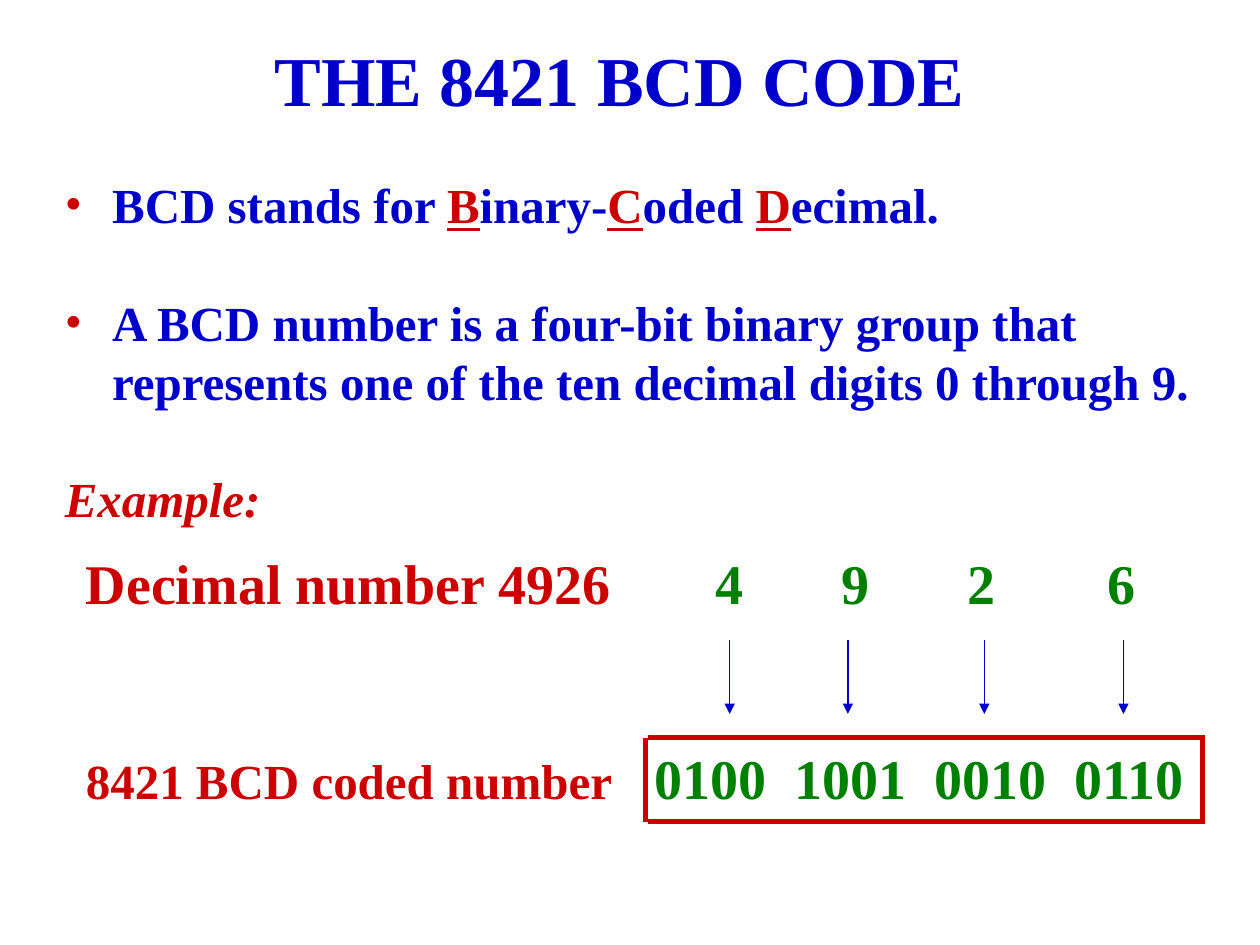
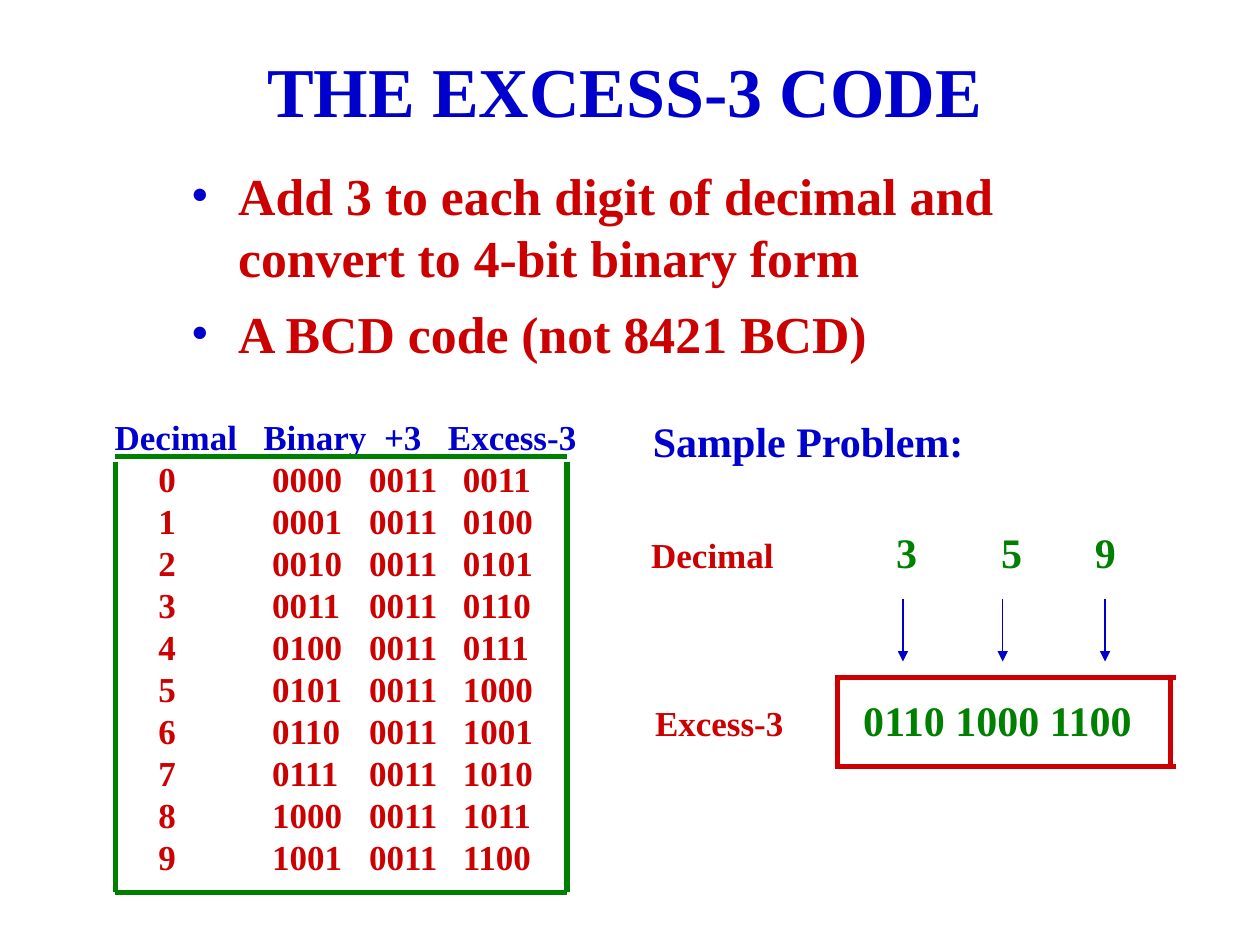
from dataclasses import dataclass

from lxml.etree import SubElement
from pptx import Presentation
from pptx.dml.color import RGBColor
from pptx.enum.shapes import MSO_CONNECTOR as Link
from pptx.enum.text import MSO_ANCHOR as Anchor
from pptx.enum.text import MSO_AUTO_SIZE as Fit
from pptx.enum.text import PP_ALIGN as Align
from pptx.oxml.ns import qn
from pptx.util import Pt

INK = {"blue": "0000CC", "red": "CC0000", "green": "008000"}
FACE = "Times New Roman"
LEADING = 1.2
HANG = 27
TITLE_ONLY = 5


@dataclass
class Bit:
    text: str
    ink: str
    size: float
    under: bool = False
    slant: bool = False


@dataclass
class Box:
    left: float
    top: float
    width: float
    height: float


@dataclass
class Label:
    box: Box
    bits: list[Bit]
    stops: tuple[float, ...] = ()


@dataclass
class Points:
    box: Box
    items: list[list[Bit]]
    dot: str
    gap: float


@dataclass
class Frame:
    ink: str
    span: tuple[float, float]
    rows: tuple[float, float]
    cols: tuple[float, float]
    drop: tuple[float, float]


@dataclass
class Col:
    head: str
    width: float
    head_pad: float
    pad: float
    cells: list[str]


def rgb(ink: str) -> RGBColor:
    return RGBColor.from_string(INK[ink])


def fill_para(para, bits: list[Bit]) -> None:
    para.line_spacing = Pt(LEADING * max(bit.size for bit in bits))
    for bit in bits:
        run = para.add_run()
        run.text = bit.text
        font = run.font
        font.name, font.size, font.bold = FACE, Pt(bit.size), True
        font.color.rgb = rgb(bit.ink)
        font.underline, font.italic = bit.under, bit.slant


def place(shape, box: Box) -> None:
    shape.left, shape.top = Pt(box.left), Pt(box.top)
    shape.width, shape.height = Pt(box.width), Pt(box.height)


def add_title(slide, text: str, box: Box) -> None:
    title = slide.shapes.title
    place(title, box)
    frame = title.text_frame
    frame.auto_size, frame.word_wrap = Fit.NONE, True
    frame.vertical_anchor = Anchor.MIDDLE
    para = frame.paragraphs[0]
    para.alignment = Align.CENTER
    fill_para(para, [Bit(text, "blue", 40)])


def add_box(slide, box: Box):
    shape = slide.shapes.add_textbox(
        Pt(box.left), Pt(box.top), Pt(box.width), Pt(box.height))
    shape.text_frame.word_wrap = True
    return shape.text_frame


def add_label(slide, label: Label) -> None:
    para = add_box(slide, label.box).paragraphs[0]
    if label.stops:
        tabs = SubElement(para._p.get_or_add_pPr(), qn("a:tabLst"))
        for stop in label.stops:
            SubElement(tabs, qn("a:tab"), pos=str(Pt(stop)), algn="l")
    fill_para(para, label.bits)


def add_points(slide, points: Points) -> None:
    frame = add_box(slide, points.box)
    for i, bits in enumerate(points.items):
        para = frame.add_paragraph() if i else frame.paragraphs[0]
        props = para._p.get_or_add_pPr()
        props.set("marL", str(Pt(HANG)))
        props.set("indent", str(-Pt(HANG)))
        tint = SubElement(props, qn("a:buClr"))
        SubElement(tint, qn("a:srgbClr"), val=INK[points.dot])
        SubElement(props, qn("a:buFont"), typeface=FACE)
        SubElement(props, qn("a:buChar"), char="•")
        if i:
            para.space_before = Pt(points.gap)
        fill_para(para, bits)


def add_line(slide, x1: float, y1: float, x2: float, y2: float,
             ink: str, width: float, arrow: bool = False) -> None:
    line = slide.shapes.add_connector(
        Link.STRAIGHT, Pt(x1), Pt(y1), Pt(x2), Pt(y2))
    line.line.color.rgb = rgb(ink)
    line.line.width = Pt(width)
    if arrow:
        SubElement(line.line._get_or_add_ln(), qn("a:tailEnd"), type="triangle")
    SubElement(line._element.spPr, qn("a:effectLst"))


def add_arrows(slide, xs: tuple[float, ...], top: float, end: float) -> None:
    for x in xs:
        add_line(slide, x, top, x, end, "blue", 0.75, True)


def add_frame(slide, frame: Frame) -> None:
    for y in frame.rows:
        add_line(slide, frame.span[0], y, frame.span[1], y, frame.ink, 3)
    for x in frame.cols:
        add_line(slide, x, frame.drop[0], x, frame.drop[1], frame.ink, 3)


def add_grid(slide, left: float, top: float, cols: list[Col], size: float) -> None:
    count = len(cols[0].cells) + 1
    pitch = LEADING * size
    table = slide.shapes.add_table(
        count, len(cols), Pt(left), Pt(top),
        Pt(sum(col.width for col in cols)), Pt(pitch * count)).table
    table.first_row = table.horz_banding = False
    for row in table.rows:
        row.height = Pt(pitch)
    for c, col in enumerate(cols):
        table.columns[c].width = Pt(col.width)
        for r, text in enumerate([col.head, *col.cells]):
            cell = table.cell(r, c)
            cell.fill.background()
            cell.margin_top = cell.margin_bottom = cell.margin_right = 0
            cell.margin_left = Pt(col.pad if r else col.head_pad)
            ink = "red" if r else "blue"
            fill_para(cell.text_frame.paragraphs[0], [Bit(text, ink, size)])


def tabbed(name: str, size: float, values: list[str], big: float) -> list[Bit]:
    return [Bit(name, "red", size),
            *(Bit("\t" + value, "green", big) for value in values)]


def add_bcd(deck) -> None:
    slide = deck.slides.add_slide(deck.slide_layouts[TITLE_ONLY])
    add_title(slide, "THE 8421 BCD CODE", Box(96, 18, 516, 54))
    name = []
    for cap, rest in (("B", "inary-"), ("C", "oded "), ("D", "ecimal.")):
        name += [Bit(cap, "red", 28, under=True), Bit(rest, "blue", 28)]
    add_points(slide, Points(Box(30, 96.5, 660, 186), [
        [Bit("BCD stands for ", "blue", 28), *name],
        [Bit("A BCD number is a four-bit binary group that represents "
             "one of the ten decimal digits 0 through 9.", "blue", 28)],
    ], "red", 33.6))
    digits = "4926"
    codes = [f"{int(d):04b}" for d in digits]
    labels = [
        Label(Box(30, 264, 150, 48), [Bit("Example:", "red", 28, slant=True)]),
        Label(Box(42, 309.6, 640, 46),
              tabbed("Decimal number 4926", 32, list(digits), 32),
              (360, 432, 504, 584)),
        Label(Box(42, 421.2, 660, 46),
              tabbed("8421 BCD coded number", 28, codes, 32),
              tuple(325 + 80 * i for i in range(4))),
    ]
    for label in labels:
        add_label(slide, label)
    add_arrows(slide, (417, 484.5, 562.5, 642), 366, 408)
    add_frame(slide, Frame("red", (370.5, 688.5), (421.5, 469.5),
                           (369, 687), (421.5, 469.5)))


def add_excess(deck) -> None:
    slide = deck.slides.add_slide(deck.slide_layouts[TITLE_ONLY])
    add_title(slide, "THE EXCESS-3 CODE", Box(102, 24, 510, 54))
    add_points(slide, Points(Box(102, 90, 534, 126), [
        [Bit("Add 3 to each digit of decimal and convert to "
             "4-bit binary form", "red", 29.6)],
        [Bit("A BCD code (not 8421 BCD)", "red", 29.6)],
    ], "blue", 8))
    nums = range(10)
    add_grid(slide, 65.5, 237.6, [
        Col("Decimal", 85, 0, 25, [str(n) for n in nums]),
        Col("Binary", 60, 0, 5, [f"{n:04b}" for n in nums]),
        Col("+3", 42, 9, 0.5, ["0011" for n in nums]),
        Col("Excess-3", 82, 3.5, 12, [f"{n + 3:04b}" for n in nums]),
    ], 20)
    add_frame(slide, Frame("green", (66, 324), (261, 510),
                           (66, 324), (264, 510)))
    digits = "359"
    codes = " ".join(f"{int(d) + 3:04b}" for d in digits)
    labels = [
        Label(Box(366, 234, 230, 36), [Bit("Sample Problem:", "blue", 24)]),
        Label(Box(365, 297.4, 300, 36),
              tabbed("Decimal", 20, list(digits), 24), (140, 200, 253.5)),
        Label(Box(367.2, 393.1, 300, 36),
              tabbed("Excess-3", 20, [codes], 24), (119,)),
    ]
    for label in labels:
        add_label(slide, label)
    add_arrows(slide, (516, 573, 631.5), 342, 378)
    add_frame(slide, Frame("red", (480, 672), (387, 438),
                           (478.5, 669), (385.5, 439.5)))


def main() -> None:
    deck = Presentation()
    deck.slide_width, deck.slide_height = Pt(720), Pt(540)
    add_bcd(deck)
    add_excess(deck)
    deck.save("out.pptx")


if __name__ == "__main__":
    main()
